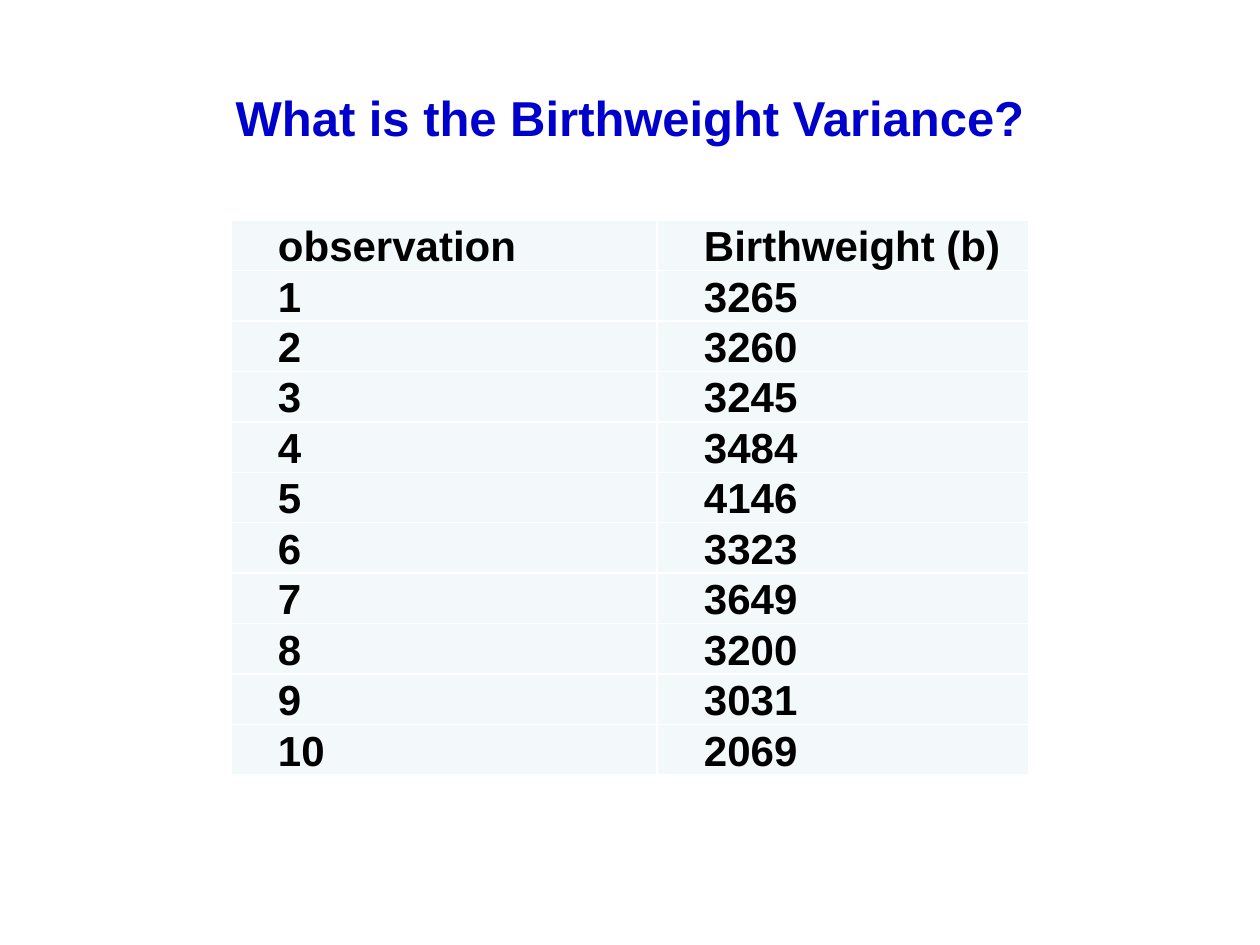
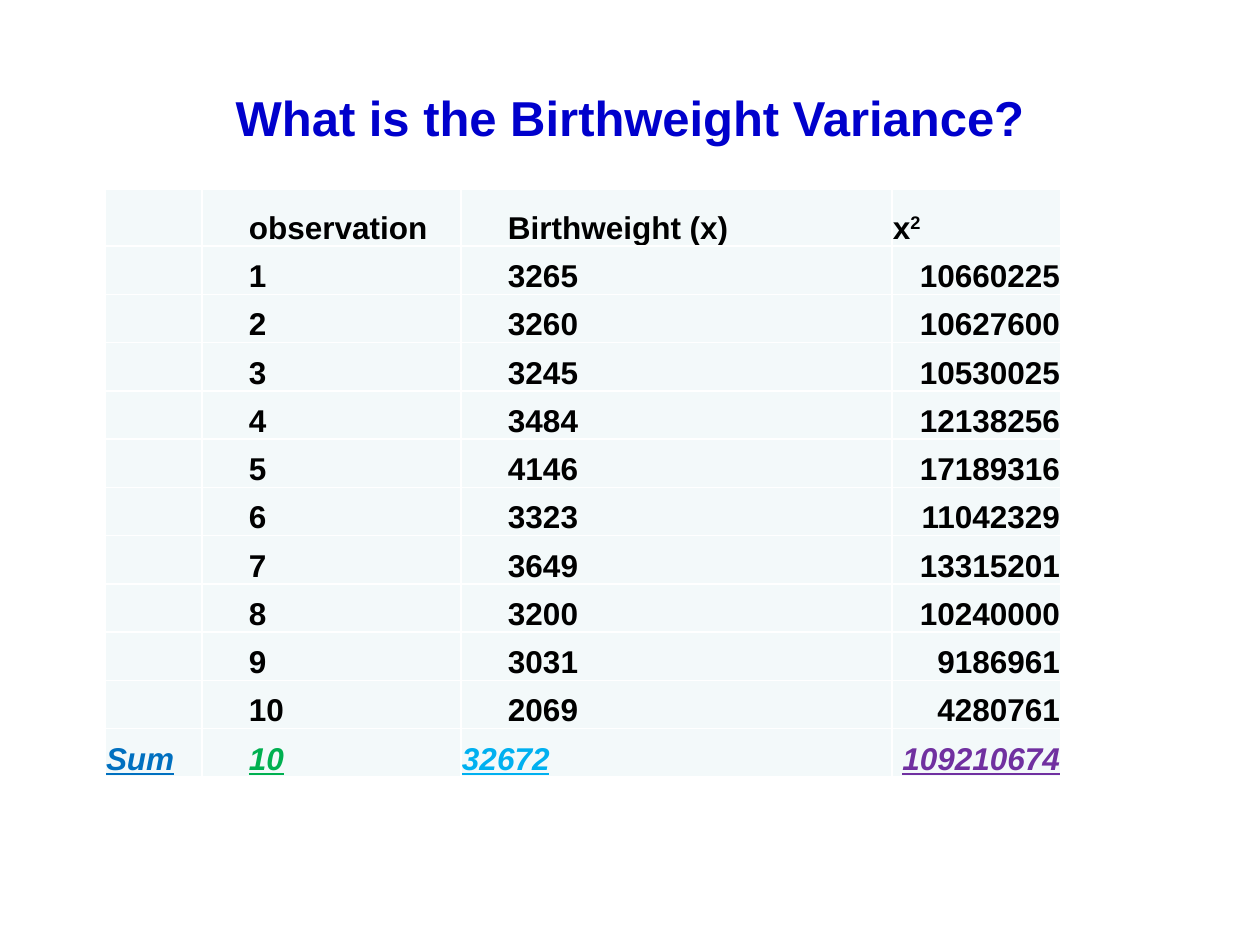
from pptx import Presentation
from pptx.dml.color import RGBColor
from pptx.enum.text import MSO_ANCHOR as ANCHOR, PP_ALIGN as ALIGN
from pptx.oxml import parse_xml
from pptx.oxml.ns import nsdecls
from pptx.util import Emu, Pt

SCALE = 914400 / 126
TITLE = "What is the Birthweight Variance?"
INDENT = 47


def px(n):
    return Emu(round(n * SCALE))


def add_run(p, text, color="000000", **fmt):
    r = p.add_run()
    r.text = text
    r.font.color.rgb = RGBColor.from_string(color)
    for name, value in {"name": "Arial", "bold": True, **fmt}.items():
        setattr(r.font, name, value)
    return r


# Data
weights = [3265, 3260, 3245, 3484, 4146, 3323, 3649, 3200, 3031, 2069]
squares = [w ** 2 for w in weights]
numbered = list(enumerate(weights, 1))
observed = [("observation", "Birthweight (b)"), *numbered]
squared = [("", "observation", "Birthweight (x)", "x2"),
           *[("", n, w, w ** 2) for n, w in numbered],
           ("Sum", len(weights), sum(weights), sum(squares))]
sum_colors = ["0070C0", "00B050", "00B0F0", "7030A0"]

# One table per slide; indented holds the columns set in from the left
tables = [
    dict(at=(231, 220), height=529, cols=[426, 372], head=48,
         size=24, indented={0, 1}, rows=observed),
    dict(at=(105, 189), height=588, cols=[97, 259, 431, 169], head=57,
         size=18, indented={1, 2}, rows=squared),
]

prs = Presentation()
prs.slide_width, prs.slide_height = px(1260), px(945)

for t in tables:
    s = prs.slides.add_slide(prs.slide_layouts[6])

    # Title
    tf = s.shapes.add_textbox(px(63), px(38), px(1134), px(158)).text_frame
    tf.word_wrap = True
    tf.vertical_anchor = ANCHOR.MIDDLE
    p = tf.paragraphs[0]
    p.alignment = ALIGN.CENTER
    add_run(p, TITLE, "0000CC", size=Pt(28))

    # Table frame, columns and rows: the body rows share what the head leaves
    rows, cols, head = t["rows"], t["cols"], t["head"]
    left, top = t["at"]
    sp = s.shapes.add_table(len(rows), len(cols), px(left), px(top),
                            px(sum(cols)), px(t["height"]))
    table = sp.table
    table.first_row = table.horz_banding = False
    for c, width in enumerate(cols):
        table.columns[c].width = px(width)
    body_row = (t["height"] - head) / (len(rows) - 1)
    for i in range(len(rows)):
        table.rows[i].height = px(body_row if i else head)

    # Cells
    for i, values in enumerate(rows):
        is_sum = values[0] == "Sum"
        for c, value in enumerate(values):
            cell = table.cell(i, c)
            indented = c in t["indented"] and not (is_sum and c == 2)
            margins = {"left": INDENT if indented else 1, "top": 0, "right": 1, "bottom": 0}
            for side, width in margins.items():
                setattr(cell, f"margin_{side}", px(width))
            cell.vertical_anchor = ANCHOR.BOTTOM
            for edge in "LRTB":
                cell._tc.tcPr.append(parse_xml(
                    f'<a:ln{edge} {nsdecls("a")} w="12700"><a:solidFill>'
                    f'<a:srgbClr val="FFFFFF"/></a:solidFill></a:ln{edge}>'))
            cell.fill.solid()
            cell.fill.fore_color.rgb = RGBColor.from_string("F3F9FA")

            p = cell.text_frame.paragraphs[0]
            size = Pt(t["size"])
            if value == "x2":
                add_run(p, "x", size=size)
                r = add_run(p, "2", size=size)
                r._r.get_or_add_rPr().set("baseline", "30000")
            elif is_sum:
                add_run(p, str(value), sum_colors[c], size=size, italic=True, underline=True)
            elif value:
                add_run(p, str(value), size=size)
            if c == 3 and i:
                p.alignment = ALIGN.RIGHT

prs.save("out.pptx")
